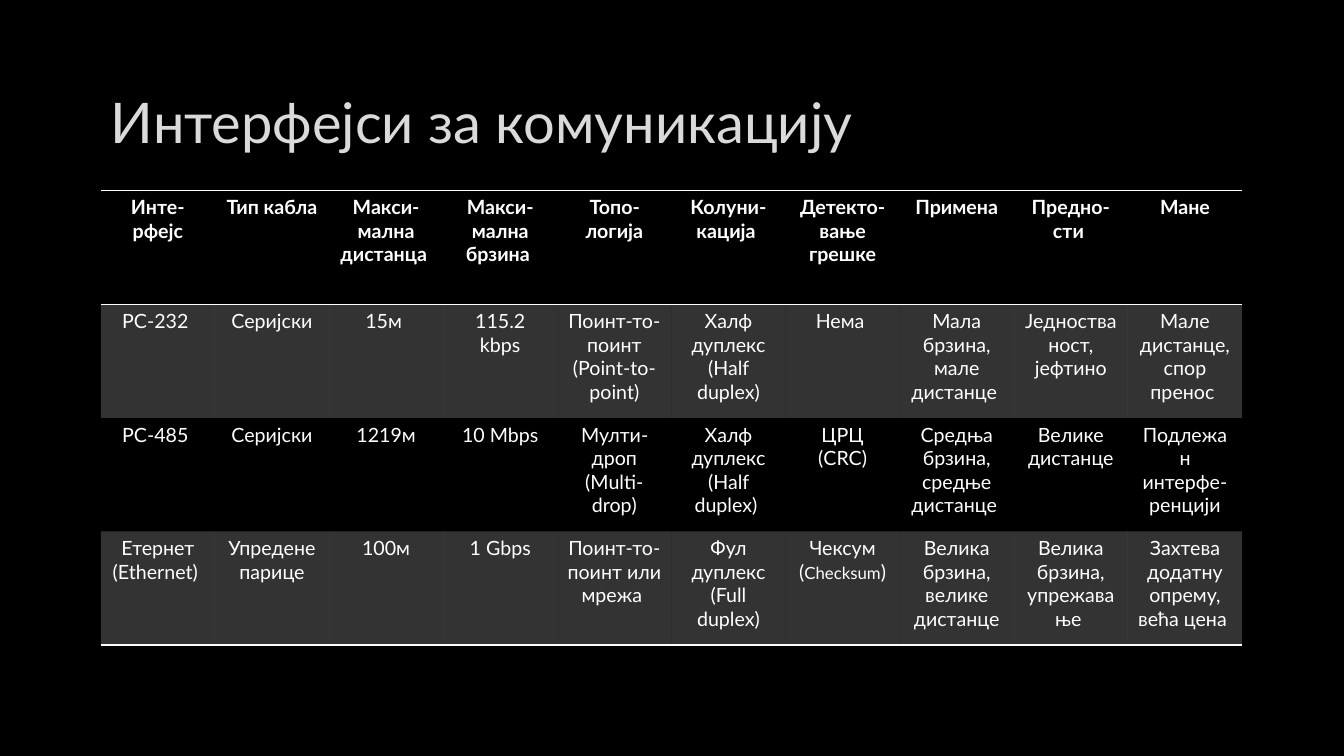
import dataclasses

import lxml.etree
import pptx
import pptx.dml.color
import pptx.enum.text
import pptx.oxml
import pptx.oxml.ns
import pptx.util

Inches, Pt = pptx.util.Inches, pptx.util.Pt
RGB = pptx.dml.color.RGBColor.from_string
qn = pptx.oxml.ns.qn

TITLE = "Интерфејси за комуникацију"
HEADERS = ["Инте-рфејс", "Тип кабла ", "Макси-мална дистанца ", "Макси-мална брзина ",
           "Топо-логија", "Колуни-кација ", "Детекто-вање грешке", "Примена",
           "Предно-сти ", "Мане"]
INTERFACES = [
    ["РС-232 ", "Серијски", "15м ", "115.2 kbps", "Поинт-то-поинт (Point-to-point)",
     "Халф дуплекс (Half duplex)", "Нема ", "Мала брзина, мале дистанце ",
     "Једностваност, јефтино", "Мале дистанце, спор пренос "],
    ["РС-485 ", "Серијски", "1219м", "10 Mbps", "Мулти-дроп (Multi-drop)",
     "Халф дуплекс (Half duplex) ", "ЦРЦ (CRC)", "Средња брзина, средње дистанце ",
     "Велике дистанце", "Подлежан интерфе-ренцији"],
    ["Етернет (Ethernet) ", "Упредене парице", "100м", "1 Gbps", "Поинт-то-поинт или мрежа ",
     "Фул дуплекс (Full duplex)", ("Чексум (", "Checksum", ")"),
     "Велика брзина, велике дистанце", "Велика брзина, упрежавање ",
     "Захтева додатну опрему, већа цена "],
]
SMALL_TERMS = {"Checksum"}
NO_GRID_STYLE = "{2D5ABB26-0587-4C30-8999-92F81FD0307C}"


@dataclasses.dataclass(frozen=True)
class Theme:
    font: str = "Lato"
    background: str = "000000"
    title: str = "DADADA"
    title_outline: str = "404040"
    light: str = "FFFFFF"
    title_size: float = 40
    cell_size: float = 14
    small_size: float = 12
    rule_width: float = 1
    outline_width: float = 0.75
    band_alpha: int = 20
    outline_alpha: int = 10


THEME = Theme()


def add_run(p, text, size, color, bold=False):
    r = p.add_run()
    r.text = text
    r.font.name = THEME.font
    r.font.size = Pt(size)
    r.font.bold = bold
    r.font.color.rgb = RGB(color)
    return r


def make_line(tag, color, width, alpha=100):
    ln = pptx.oxml.parse_xml(
        f'<a:{tag} {pptx.oxml.ns.nsdecls("a")} w="{Pt(width)}"><a:solidFill>'
        f'<a:srgbClr val="{color}"><a:alpha val="{alpha * 1000}"/></a:srgbClr>'
        f'</a:solidFill><a:prstDash val="solid"/></a:{tag}>')
    return ln


def add_title(s):
    sp = s.shapes.title
    sp.left, sp.top, sp.width, sp.height = map(Inches, (1, 0.67, 11.32, 1.06))
    tf = sp.text_frame
    tf.word_wrap = True
    tf.auto_size = pptx.enum.text.MSO_AUTO_SIZE.NONE
    tf.vertical_anchor = pptx.enum.text.MSO_ANCHOR.MIDDLE
    p = tf.paragraphs[0]
    p.alignment = pptx.enum.text.PP_ALIGN.LEFT
    r = add_run(p, TITLE, THEME.title_size, THEME.title)
    outline = make_line("ln", THEME.title_outline, THEME.outline_width, THEME.outline_alpha)
    r.font._element.insert(0, outline)


def fill_cell(cell, content, header, banded, borders):
    p = cell.text_frame.paragraphs[0]
    p.alignment = pptx.enum.text.PP_ALIGN.CENTER
    for text in [content] if isinstance(content, str) else content:
        size = THEME.small_size if text in SMALL_TERMS else THEME.cell_size
        add_run(p, text, size, THEME.light, header)
    tc_pr = cell._tc.get_or_add_tcPr()
    for tag in borders:
        tc_pr.append(make_line(tag, THEME.light, THEME.rule_width))
    if banded:
        cell.fill.solid()
        cell.fill.fore_color.rgb = RGB(THEME.light)
        color = tc_pr.find(qn("a:solidFill")).find(qn("a:srgbClr"))
        lxml.etree.SubElement(color, qn("a:alpha")).set("val", str(THEME.band_alpha * 1000))
    else:
        cell.fill.background()


def add_interface_table(s):
    rows = [HEADERS] + INTERFACES
    last = len(rows) - 1
    width, height = Inches(11.32), Inches(4.51)
    frame = s.shapes.add_table(len(rows), len(HEADERS), Inches(1), Inches(1.89), width, height)
    table = frame.table
    next(frame._element.iter(qn("a:tableStyleId"))).text = NO_GRID_STYLE
    for column in table.columns:
        column.width = width // len(HEADERS)
    for i, row in enumerate(rows):
        table.rows[i].height = height // len(rows)
        borders = {0: ("lnT", "lnB"), last: ("lnB",)}.get(i, ())
        for j, content in enumerate(row):
            fill_cell(table.cell(i, j), content, i == 0, i % 2 == 1, borders)


def main():
    """Build the slide comparing communication interfaces."""
    prs = pptx.Presentation()
    prs.slide_width, prs.slide_height = Inches(13.33), Inches(7.5)
    s = prs.slides.add_slide(prs.slide_layouts[5])
    s.background.fill.solid()
    s.background.fill.fore_color.rgb = RGB(THEME.background)
    add_title(s)
    add_interface_table(s)
    prs.save("out.pptx")


if __name__ == "__main__":
    main()
